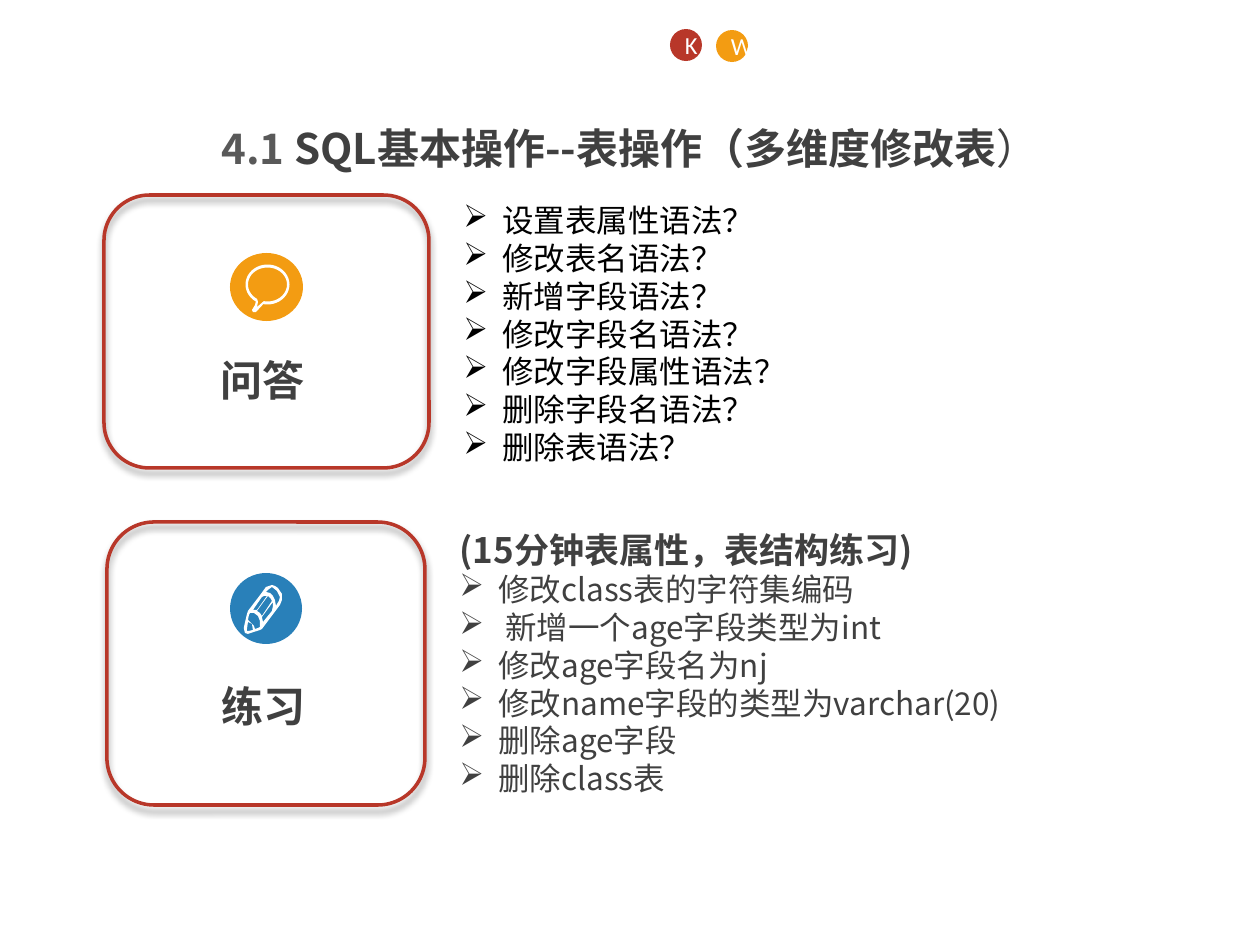
from math import cos, radians, sin

from lxml import etree
from pptx import Presentation
from pptx.dml.color import RGBColor
from pptx.enum.shapes import MSO_SHAPE
from pptx.enum.text import MSO_ANCHOR, MSO_AUTO_SIZE, PP_ALIGN
from pptx.oxml.ns import qn
from pptx.util import Pt

OVAL, ROUNDED = MSO_SHAPE.OVAL, MSO_SHAPE.ROUNDED_RECTANGLE
CENTER, LEFT = PP_ALIGN.CENTER, PP_ALIGN.LEFT
MIDDLE = MSO_ANCHOR.MIDDLE
GROW = MSO_AUTO_SIZE.SHAPE_TO_FIT_TEXT
SCALE = 914400 / 126
CJK = "Noto Sans CJK SC"
RED, ORANGE, BLUE = "B83729", "F39C12", "2980B9"
WHITE, BLACK, DARK, GRAY = "FFFFFF", "000000", "404040", "595959"

QUESTIONS = ["设置表属性语法？", "修改表名语法？", "新增字段语法？", "修改字段名语法？",
             "修改字段属性语法？", "删除字段名语法？", "删除表语法？"]
EXERCISES = ["修改class表的字符集编码", " 新增一个age字段类型为int", "修改age字段名为nj",
             "修改name字段的类型为varchar(20)", "删除age字段", "删除class表"]

# Pencil: silhouette first, then the holes in it
PENCIL = [
    [(278, 588), (275, 586), (272, 585), (266, 587), (261, 594), (248, 611), (247, 614),
     (244, 627), (244, 629), (245, 633), (248, 634), (260, 630), (262, 629), (280, 605),
     (282, 600), (282, 594)],
    [(277, 604), (276, 606), (275, 600), (273, 596), (270, 593), (266, 592), (268, 590),
     (272, 587), (277, 591), (280, 597), (279, 601)],
    [(255, 629), (254, 626), (252, 624), (248, 620), (249, 615), (250, 613), (254, 613),
     (258, 616), (260, 621), (260, 627), (258, 628)],
    [(249, 631), (247, 631), (247, 629), (248, 622), (252, 624), (253, 630)],
    [(257, 610), (253, 610), (262, 597), (264, 596), (267, 596)],
    [(262, 616), (260, 613), (257, 611), (268, 596), (271, 599), (272, 601)],
    [(263, 622), (262, 617), (273, 602), (273, 606), (272, 611)],
]


def px(n):
    return round(n * SCALE)


def box(*lengths):
    return [px(n) for n in lengths]


def rgb(color):
    return RGBColor.from_string(color)


def add_run(p, text, size=18, color=DARK, bold=False, font=CJK):
    r = p.add_run()
    r.text = text
    r.font.size, r.font.bold, r.font.name = Pt(size), bold, font
    r.font.color.rgb = rgb(color)
    ea = etree.SubElement(r.font._element, qn("a:ea"))
    ea.set("typeface", font)


def add_bullet(p):
    pPr = p._p.get_or_add_pPr()
    pPr.set("marL", str(px(39)))
    pPr.set("indent", str(-px(39)))
    etree.SubElement(pPr, qn("a:buChar")).set("char", "➢")


def add_text(shapes, at, paragraphs, align=LEFT, spacing=1.2, grow=False):
    """Each paragraph is (bulleted, [(text, format), ...])."""
    tf = shapes.add_textbox(*box(*at)).text_frame
    tf.word_wrap = True
    if grow:
        tf.auto_size = GROW
    for i, (bulleted, runs) in enumerate(paragraphs):
        p = tf.paragraphs[0] if i == 0 else tf.add_paragraph()
        if bulleted:
            add_bullet(p)
        p.alignment = align
        p.line_spacing = Pt(runs[0][1].get("size", 18) * spacing)
        for text, style in runs:
            add_run(p, text, **style)


def bullets(texts, color):
    return [(True, [(text, {"color": color})]) for text in texts]


def add_circle(shapes, at, color):
    sp = shapes.add_shape(OVAL, *box(*at))
    sp.shadow.inherit = False
    sp.fill.solid()
    sp.fill.fore_color.rgb = rgb(color)
    sp.line.fill.background()
    return sp


def add_badge(shapes, at, color, letter):
    tf = add_circle(shapes, at, color).text_frame
    tf.vertical_anchor = MIDDLE
    p = tf.paragraphs[0]
    p.alignment = CENTER
    add_run(p, letter, size=14, color=WHITE, font="Calibri")


def add_frame(shapes, at):
    sp = shapes.add_shape(ROUNDED, *box(*at))
    sp.fill.background()
    sp.line.color.rgb = rgb(RED)
    sp.line.width = Pt(2)
    sp.shadow.inherit = False
    effects = sp._element.spPr.find(qn("a:effectLst"))
    shadow = etree.SubElement(effects, qn("a:outerShdw"), blurRad=str(Pt(4)),
                              dist=str(Pt(3)), dir="5400000", rotWithShape="0")
    color = etree.SubElement(shadow, qn("a:srgbClr"), val=BLACK)
    etree.SubElement(color, qn("a:alpha"), val="40000")


def arc(cx, cy, rx, ry):
    """Ellipse left open at the lower left, where the bubble's tail starts."""
    angles = [radians(101 - 339 * i / 40) for i in range(41)]
    return [(cx + rx * cos(a), cy + ry * sin(a)) for a in angles]


def bubble():
    outer = arc(267.5, 284.5, 22, 20) + [(255, 305), (252, 310), (253, 312), (256, 312)]
    inner = arc(267.5, 284.5, 19.5, 17) + [(258, 302), (257, 307)]
    return [outer, inner]


def add_icon(shapes, contours):
    first, *holes = [[(px(x), px(y)) for x, y in contour] for contour in contours]
    fb = shapes.build_freeform(*first[0], scale=1.0)
    fb.add_line_segments(first[1:], close=True)
    for hole in holes:
        fb.move_to(*hole[0])
        fb.add_line_segments(hole[1:], close=True)
    sp = fb.convert_to_shape()
    sp.shadow.inherit = False
    sp.fill.solid()
    sp.fill.fore_color.rgb = rgb(WHITE)
    sp.line.fill.background()


def add_card(s, frame, label_at, label, circle, color, icon):
    shapes = s.shapes.add_group_shape().shapes
    add_frame(shapes, frame)
    add_text(shapes, label_at, [(False, [(label, {"size": 24, "bold": True})])], spacing=1.1)
    add_circle(shapes, circle, color)
    add_icon(shapes, icon)


def main():
    prs = Presentation()
    prs.slide_width, prs.slide_height = px(1260), px(945)
    s = prs.slides.add_slide(prs.slide_layouts[6])

    # Title and badges
    title = {"size": 24, "bold": True}
    add_text(s.shapes, (0, 116, 1260, 59), [(False, [
        ("4.1 ", {**title, "color": GRAY}),
        ("SQL基本操作--表操作（多维度修改表", title),
        ("）", {"size": 24}),
    ])], align=CENTER)
    add_badge(s.shapes, (716, 30, 32, 32), ORANGE, "W")
    add_badge(s.shapes, (670, 29, 32, 32), RED, "K")

    # Questions
    add_card(s, (104, 195, 325, 273), (208, 352, 116, 57), "问答",
             (230, 253, 73, 68), ORANGE, bubble())
    add_text(s.shapes, (451, 195, 769, 280), bullets(QUESTIONS, BLACK), grow=True)

    # Exercises
    add_card(s, (107, 522, 318, 283), (209, 678, 113, 58), "练习",
             (230, 573, 72, 71), BLUE, PENCIL)
    heading = (False, [("(15分钟表属性，表结构练习)", {"size": 20, "bold": True})])
    add_text(s.shapes, (447, 522, 735, 285), [heading] + bullets(EXERCISES, DARK), grow=True)

    prs.save("out.pptx")


if __name__ == "__main__":
    main()
